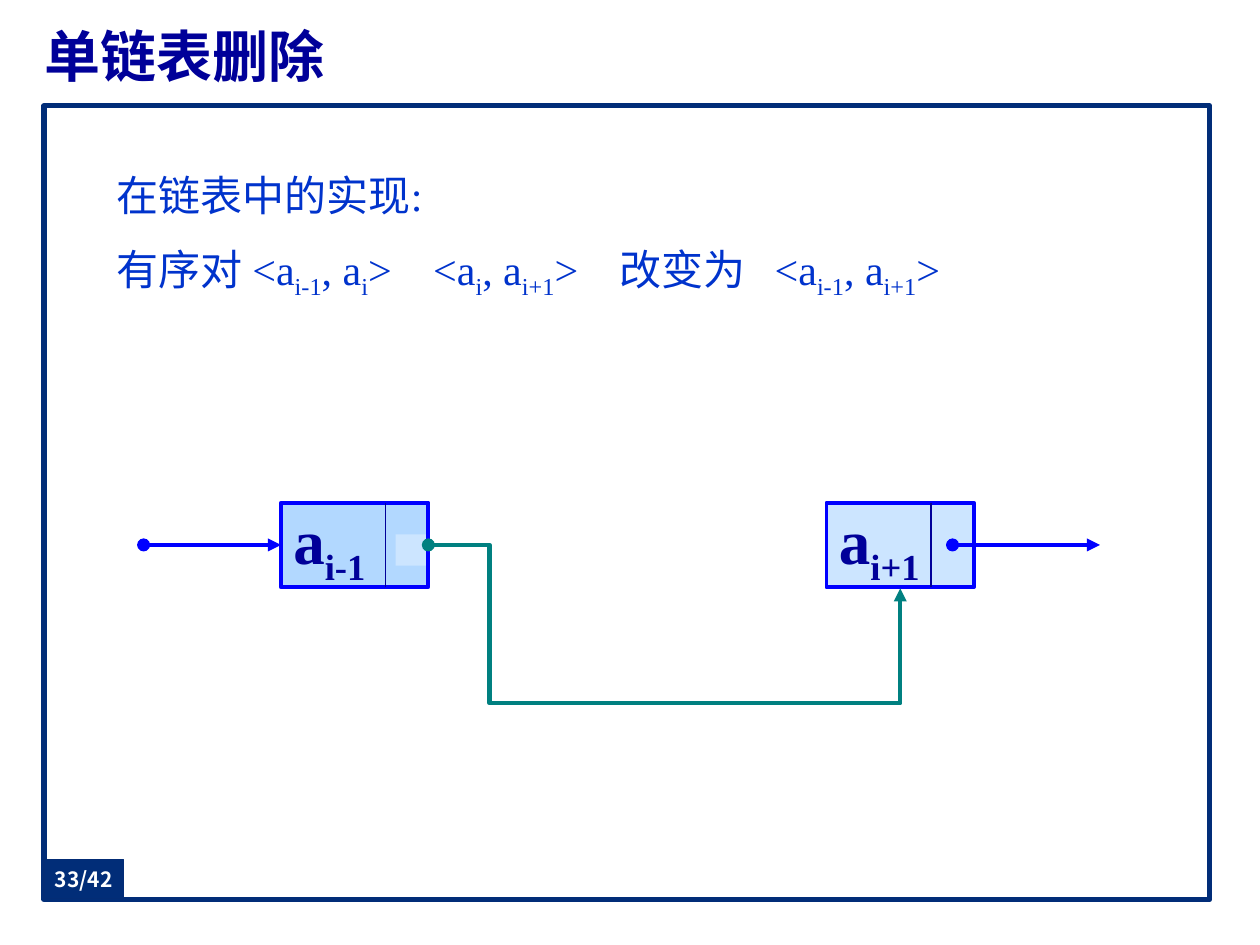
from lxml import etree
from pptx import Presentation
from pptx.dml.color import RGBColor
from pptx.enum.shapes import MSO_CONNECTOR as LINK, MSO_SHAPE as SHAPE
from pptx.enum.text import MSO_ANCHOR as ANCHOR, PP_ALIGN as ALIGN
from pptx.oxml.ns import qn
from pptx.util import Inches, Pt

SERIF, SANS = "Times New Roman", "Noto Sans CJK SC"
NAVY, INK, BLUE, TEAL = "012D78", "000099", "0000FF", "008080"
PALE, DEEP = "CCE5FF", "B2D8FF"
NODE_W, NODE_H, DATA_W = 1.17, 0.67, 0.83


def color(value):
    return RGBColor.from_string(value)


def set_frame(frame, **values):
    for name, value in values.items():
        setattr(frame, name, value)


def no_insets():
    return {f"margin_{side}": 0 for side in ("left", "top", "right", "bottom")}


def add_runs(paragraph, text, ink, **font):
    """Write text in which every part between underscores is a subscript."""
    for index, part in enumerate(text.split("_")):
        run = paragraph.add_run()
        run.text = part
        run.font.color.rgb = color(ink)
        for name, value in font.items():
            setattr(run.font, name, value)
        props = run.font._element
        etree.SubElement(props, qn("a:ea")).set("typeface", SANS)
        if index % 2:
            props.set("baseline", "-25000")


def add_box(slide, box, fill, line=None, weight=0):
    rect = slide.shapes.add_shape(SHAPE.RECTANGLE, *map(Inches, box))
    rect.shadow.inherit = False
    rect.fill.solid()
    rect.fill.fore_color.rgb = color(fill)
    if line:
        rect.line.color.rgb = color(line)
        rect.line.width = Pt(weight)
    else:
        rect.line.fill.background()
    return rect


def add_link(slide, start, end, ink, weight, kind=LINK.STRAIGHT, arrow=True):
    link = slide.shapes.add_connector(kind, *map(Inches, (*start, *end)))
    link.line.color.rgb = color(ink)
    link.line.width = Pt(weight)
    if arrow:
        stroke = link.line._get_or_add_ln()
        for tag, shape in (("a:headEnd", "oval"), ("a:tailEnd", "triangle")):
            etree.SubElement(stroke, qn(tag)).set("type", shape)
    etree.SubElement(link._element.spPr, qn("a:effectLst"))
    return link


def add_title(slide, box):
    frame = slide.shapes.add_textbox(*map(Inches, box)).text_frame
    set_frame(frame, word_wrap=True, vertical_anchor=ANCHOR.MIDDLE, **no_insets())
    frame.paragraphs[0].alignment = ALIGN.JUSTIFY
    add_runs(frame.paragraphs[0], "单链表删除", INK,
             size=Pt(32), name=SERIF, bold=True)


def add_explanation(slide, box):
    frame = slide.shapes.add_textbox(*map(Inches, box)).text_frame
    frame.word_wrap = True
    heading, pairs = frame.paragraphs[0], frame.add_paragraph()
    tabs = etree.SubElement(pairs._p.get_or_add_pPr(), qn("a:tabLst"))
    for stop in (2.51, 3.99, 5.22):
        tab = etree.SubElement(tabs, qn("a:tab"))
        tab.set("pos", str(Inches(stop)))
        tab.set("algn", "l")
    texts = ("在链表中的实现:",
             "有序对 <a_i-1_, a_i_>\t<a_i_, a_i+1_>\t改变为\t<a_i-1_, a_i+1_>")
    for paragraph, text in zip((heading, pairs), texts):
        paragraph.alignment = ALIGN.JUSTIFY
        paragraph.line_spacing = 1.4
        add_runs(paragraph, text, "0033CC", size=Pt(24), name=SERIF)


def add_node(slide, left, top, label, fill):
    """Draw a list node: a data cell followed by a pointer cell."""
    node = add_box(slide, (left, top, NODE_W, NODE_H), fill, BLUE, 2.25)
    set_frame(node.text_frame, word_wrap=False, vertical_anchor=ANCHOR.MIDDLE)
    node.text_frame.paragraphs[0].alignment = ALIGN.LEFT
    add_runs(node.text_frame.paragraphs[0], label, INK,
             size=Pt(36), name=SERIF, bold=True)
    divider = left + DATA_W
    add_link(slide, (divider, top), (divider, top + NODE_H), INK, 0.75, arrow=False)
    return node


def add_bypass(slide, start, end):
    """Lead the pointer down, across and up into the next node."""
    bypass = add_link(slide, start, end, TEAL, 2.5, LINK.ELBOW)
    geometry = bypass._element.spPr.find(qn("a:prstGeom"))
    geometry.set("prst", "bentConnector4")
    guides = geometry.find(qn("a:avLst"))
    for name, share in (("adj1", 13000), ("adj2", 364200)):
        guide = etree.SubElement(guides, qn("a:gd"))
        guide.set("name", name)
        guide.set("fmla", f"val {share}")


def add_linked_list(slide, left, top):
    previous_x, next_x = left + 1.09, left + 5.42
    middle = top + NODE_H / 2
    previous = add_node(slide, previous_x, top, "a_i-1_", DEEP)
    add_box(slide, (previous_x + 0.91, top + 0.25, 0.24, 0.25), PALE)
    add_node(slide, next_x, top, "a_i+1_", PALE)
    entry = add_link(slide, (left, middle), (previous_x, middle), BLUE, 2.5)
    entry.end_connect(previous, 1)
    pointer_x = next_x + 1
    add_link(slide, (pointer_x, middle), (pointer_x + NODE_W, middle), BLUE, 2.5)
    add_bypass(slide, (previous_x + NODE_W, middle),
               (next_x + NODE_W / 2, top + NODE_H + 0.01))


def add_page_number(slide, box):
    badge = add_box(slide, box, NAVY, "032C75", 0.75)
    set_frame(badge.text_frame, vertical_anchor=ANCHOR.MIDDLE,
              word_wrap=True, **no_insets())
    badge.text_frame.paragraphs[0].alignment = ALIGN.CENTER
    add_runs(badge.text_frame.paragraphs[0], "33/42", "FFFFFF",
             size=Pt(12), name=SANS, bold=True)


def main():
    deck = Presentation()
    deck.slide_width, deck.slide_height = Inches(10), Inches(7.5)
    slide = deck.slides.add_slide(deck.slide_layouts[6])
    add_box(slide, (0.35, 0.84, 9.25, 6.3), "FFFFFF", NAVY, 3)
    add_title(slide, (0.35, 0.13, 9.25, 0.62))
    add_explanation(slide, (0.83, 1.14, 8.35, 1.23))
    add_linked_list(slide, 1.14, 3.99)
    add_page_number(slide, (0.35, 6.82, 0.63, 0.31))
    deck.save("out.pptx")


if __name__ == "__main__":
    main()
